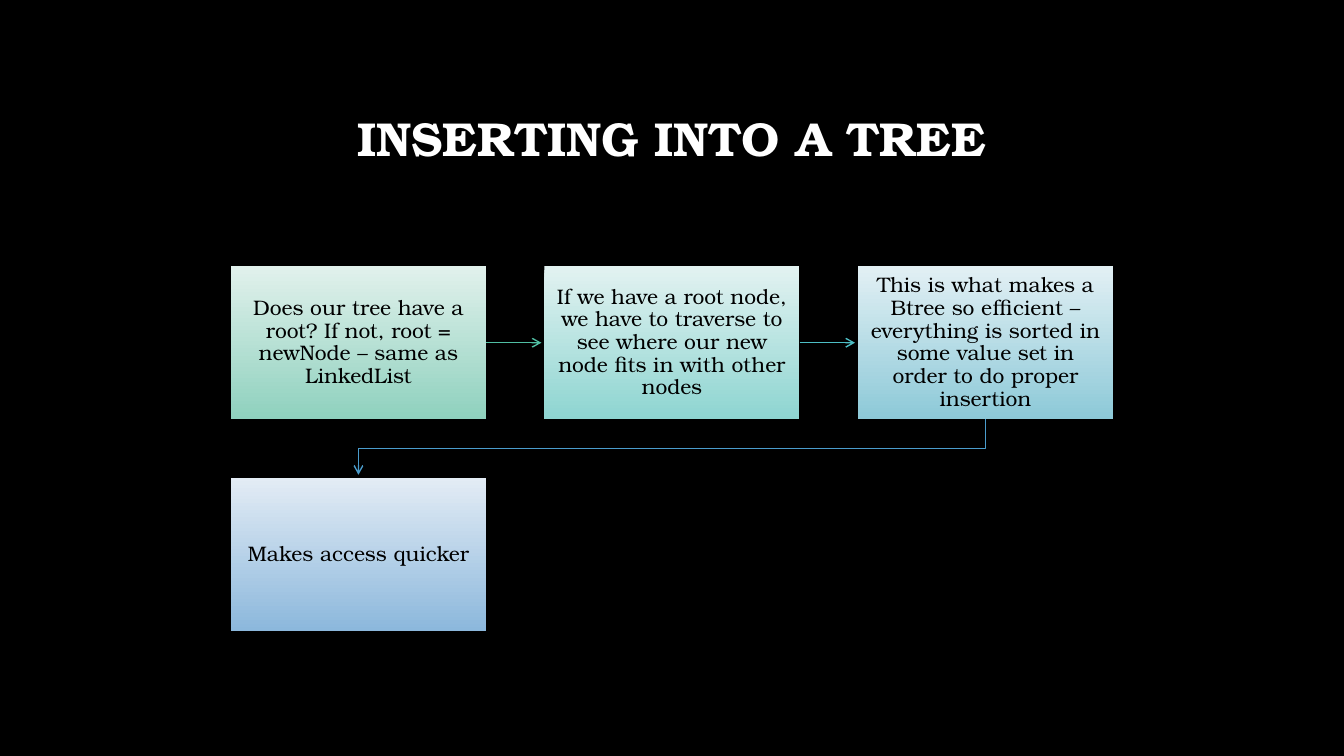
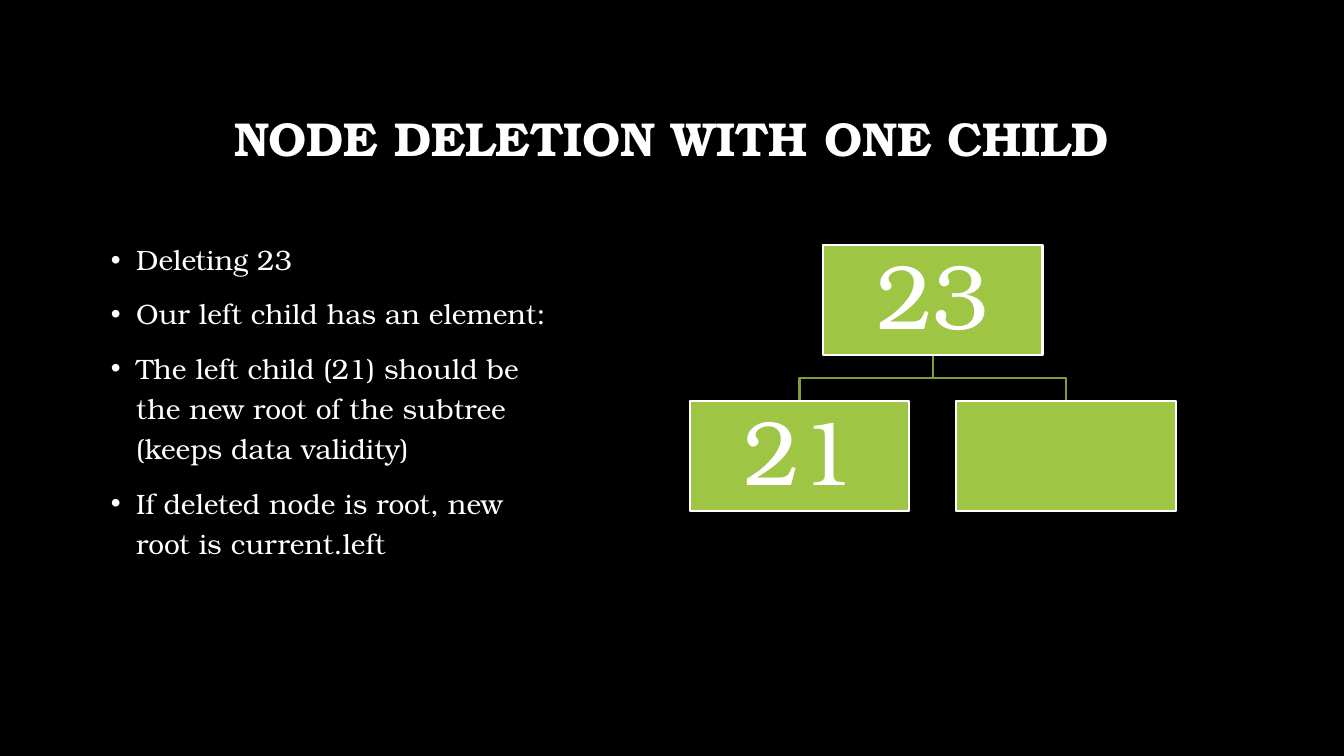
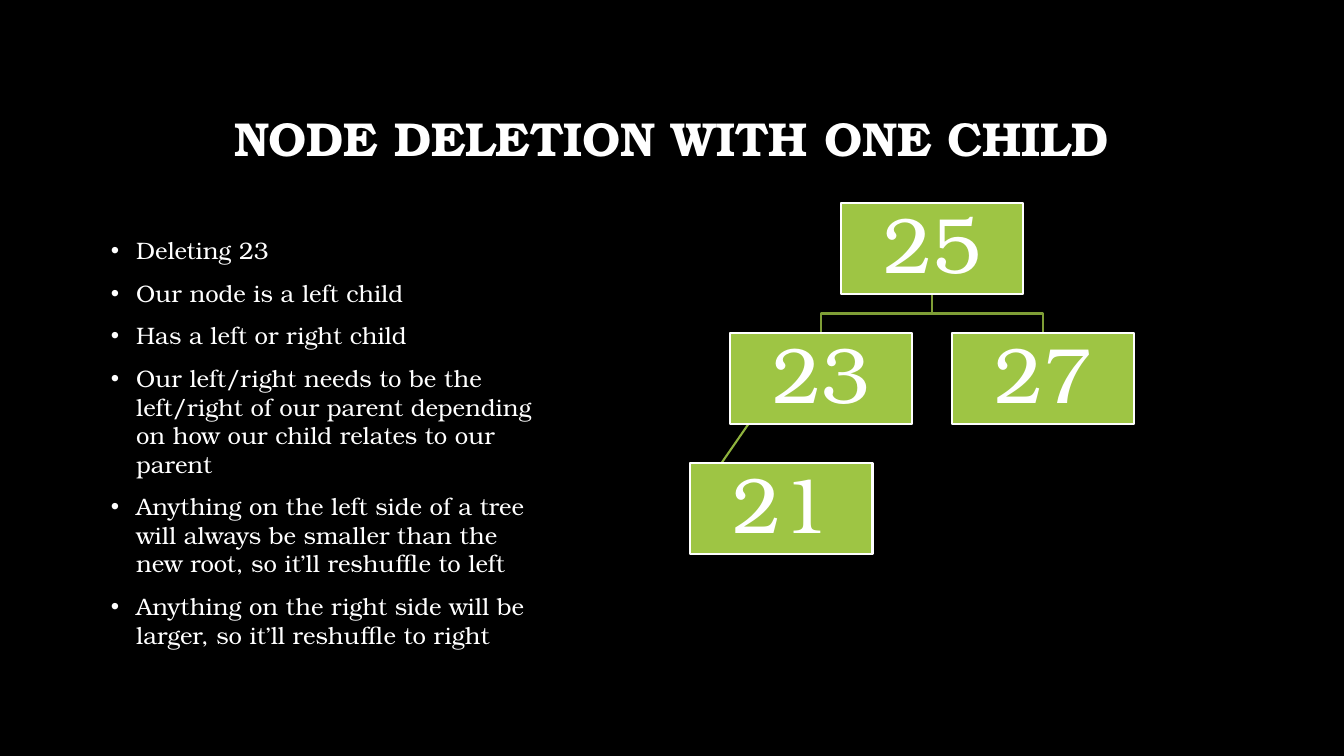
from dataclasses import dataclass
from typing import NamedTuple, Optional

from lxml import etree
from pptx import Presentation
from pptx import util as u
from pptx.dml.color import RGBColor
from pptx.enum import shapes, text
from pptx.oxml.ns import qn

FONT = "TeX Gyre Bonum"
COLOURS = {
    "background": "000000",
    "light_text": "FFFFFF",
    "dark_text": "000000",
    "node": "9EC544",
    "node_line": "FFFFFF",
    "branch": "7F9E36",
    "assistant_branch": "8FB33E",
}
TITLE_ONLY, TITLE_AND_BODY = 5, 1


class Box(NamedTuple):
    left: float
    top: float
    width: float
    height: float

    @property
    def centre(self) -> float:
        return self.left + self.width / 2

    @property
    def middle(self) -> float:
        return self.top + self.height / 2

    @property
    def right(self) -> float:
        return self.left + self.width

    @property
    def bottom(self) -> float:
        return self.top + self.height


@dataclass(frozen=True)
class Grid:
    left: float
    top: float
    width: float
    height: float
    column_step: float
    row_step: float

    def cell(self, column: float, row: float) -> Box:
        return Box(self.left + column * self.column_step,
                   self.top + row * self.row_step, self.width, self.height)


@dataclass(frozen=True)
class Step:
    column: int
    row: int
    words: str
    gradient: tuple[str, str]
    arrow: Optional[str] = None


@dataclass(frozen=True)
class Node:
    words: str
    column: float
    row: int
    parent: Optional[int] = None
    straight: bool = False


TITLE_BOX = Box(1, 0.67, 11.32, 1.45)
BODY_BOX = Box(1, 2.29, 4.57, 4.04)
STEP_GRID = Grid(2.29, 2.64, 2.53, 1.52, 3.11, 2.1)
ARROW_GAP = 0.03

STEPS = [
    Step(0, 0, "Does our tree have a root? If not, root = newNode – same as LinkedList",
         ("E1F1EC", "8FD1BE"), "50BEA3"),
    Step(1, 0, "If we have a root node, we have to traverse to see where our new node "
         "fits in with other nodes", ("E2F2F1", "8ED5D1"), "4DBEC5"),
    Step(2, 0, "This is what makes a Btree so efficient – everything is sorted in some "
         "value set in order to do proper insertion", ("E2F0F4", "8DC9D8"), "4A9CCC"),
    Step(0, 1, "Makes access quicker", ("E3ECF5", "8CB8DC")),
]
SMALL_TREE = [Node("23", 0.5, 0), Node("21", 0, 1, 0), Node("", 1, 1, 0)]
LARGE_TREE = [
    Node("25", 0.5, 0),
    Node("23", 0, 1, 0),
    Node("27", 1, 1, 0),
    Node("21", -0.18, 2, 1, straight=True),
]
SMALL_TREE_POINTS = [
    "Deleting 23",
    "Our left child has an element:",
    "The left child (21) should be the new root of the subtree (keeps data validity)",
    "If deleted node is root, new root is current.left",
]
LARGE_TREE_POINTS = [
    "Deleting 23",
    "Our node is a left child",
    "Has a left or right child",
    "Our left/right needs to be the left/right of our parent depending on how our "
    "child relates to our parent",
    "Anything on the left side of a tree will always be smaller than the new root, "
    "so it’ll reshuffle to left",
    "Anything on the right side will be larger, so it’ll reshuffle to right",
]


def rgb(value: str) -> RGBColor:
    return RGBColor.from_string(value)


def place(shape, box: Box) -> None:
    shape.left, shape.top, shape.width, shape.height = map(u.Inches, box)


def write_text(frame, words: str, *, size: float, colour: str = "light_text",
               bold: bool = False, align=text.PP_ALIGN.CENTER,
               anchor=text.MSO_ANCHOR.MIDDLE, spacing: float = 0.9,
               before: float = 0, indent: Optional[float] = None,
               insets: tuple[float, float] = (0.1, 0.05)) -> None:
    frame.text = words
    frame.word_wrap = True
    frame.auto_size = text.MSO_AUTO_SIZE.NONE
    frame.vertical_anchor = anchor
    frame.margin_left = frame.margin_right = u.Inches(insets[0])
    frame.margin_top = frame.margin_bottom = u.Inches(insets[1])
    for paragraph in frame.paragraphs:
        paragraph.alignment = align
        paragraph.line_spacing = spacing
        paragraph.space_before = u.Pt(before)
        if indent is not None:
            properties = paragraph._p.get_or_add_pPr()
            properties.set("marL", str(u.Inches(indent)))
            properties.set("indent", str(-u.Inches(indent)))
        for run in paragraph.runs:
            run.font.name = FONT
            run.font.size = u.Pt(size)
            run.font.bold = bold
            run.font.color.rgb = rgb(COLOURS[colour])


def add_titled_slide(presentation, layout: int, title: str):
    slide = presentation.slides.add_slide(presentation.slide_layouts[layout])
    place(slide.shapes.title, TITLE_BOX)
    write_text(slide.shapes.title.text_frame, title, size=34, bold=True)
    return slide


def add_rectangle(slide, box: Box):
    shape = slide.shapes.add_shape(shapes.MSO_SHAPE.RECTANGLE, *map(u.Inches, box))
    shape.shadow.inherit = False
    return shape


def add_line(slide, points: list[tuple[float, float]], colour: str, width: float,
             arrow: bool = False) -> None:
    corners = [(u.Inches(x), u.Inches(y)) for x, y in points]
    if len(corners) == 2:
        line = slide.shapes.add_connector(
            shapes.MSO_CONNECTOR.STRAIGHT, *corners[0], *corners[1])
    else:
        builder = slide.shapes.build_freeform(*corners[0])
        builder.add_line_segments(corners[1:], close=False)
        line = builder.convert_to_shape()
        line.fill.background()
    line.line.color.rgb = rgb(colour)
    line.line.width = u.Pt(width)
    etree.SubElement(line._element.spPr, qn("a:effectLst"))
    if arrow:
        outline = line._element.spPr.find(qn("a:ln"))
        etree.SubElement(outline, qn("a:tailEnd"), type="arrow")


def elbow(start: Box, end: Box, gap: float = 0) -> list[tuple[float, float]]:
    turn = (start.bottom + end.top) / 2
    return [(start.centre, start.bottom), (start.centre, turn),
            (end.centre, turn), (end.centre, end.top - gap)]


def draw_steps(slide, steps: list[Step]) -> None:
    boxes = [STEP_GRID.cell(step.column, step.row) for step in steps]
    for step, box, following in zip(steps, boxes, boxes[1:]):
        if box.top == following.top:
            points = [(box.right, box.middle), (following.left - ARROW_GAP, box.middle)]
        else:
            points = elbow(box, following, ARROW_GAP)
        add_line(slide, points, step.arrow, 1, arrow=True)
    for step, box in zip(steps, boxes):
        shape = add_rectangle(slide, box)
        shape.line.fill.background()
        shape.fill.gradient()
        shape.fill.gradient_angle = 270
        for stop, colour in zip(shape.fill.gradient_stops, step.gradient):
            stop.color.rgb = rgb(colour)
        for stop, position in zip(shape.fill.gradient_stops, (0, 1)):
            stop.position = position
        write_text(shape.text_frame, step.words, size=15, colour="dark_text",
                   insets=(0.12, 0.13))


def draw_tree(slide, nodes: list[Node], grid: Grid, size: float) -> None:
    boxes = [grid.cell(node.column, node.row) for node in nodes]
    for node, box in zip(nodes, boxes):
        if node.parent is None:
            continue
        parent = boxes[node.parent]
        if node.straight:
            points = [(parent.left + parent.width / 10, parent.bottom),
                      (box.left, box.middle)]
            add_line(slide, points, COLOURS["assistant_branch"], 1.5)
        else:
            add_line(slide, elbow(parent, box), COLOURS["branch"], 1.5)
    for node, box in zip(nodes, boxes):
        shape = add_rectangle(slide, box)
        shape.fill.solid()
        shape.fill.fore_color.rgb = rgb(COLOURS["node"])
        shape.line.color.rgb = rgb(COLOURS["node_line"])
        shape.line.width = u.Pt(1.5)
        if node.words:
            write_text(shape.text_frame, node.words, size=size, insets=(0.05, 0.05))


def add_deletion_slide(presentation, points: list[str], size: float, spacing: float,
                       nodes: list[Node], grid: Grid, node_size: float) -> None:
    slide = add_titled_slide(presentation, TITLE_AND_BODY, "NODE DELETION WITH ONE CHILD")
    body = slide.placeholders[1]
    place(body, BODY_BOX)
    write_text(body.text_frame, "\n".join(points), size=size, spacing=spacing,
               before=10, indent=0.25, align=text.PP_ALIGN.LEFT,
               anchor=text.MSO_ANCHOR.TOP)
    draw_tree(slide, nodes, grid, node_size)


def main() -> None:
    presentation = Presentation()
    presentation.slide_width = u.Inches(13.33)
    presentation.slide_height = u.Inches(7.5)
    background = presentation.slide_master.background.fill
    background.solid()
    background.fore_color.rgb = rgb(COLOURS["background"])

    draw_steps(add_titled_slide(presentation, TITLE_ONLY, "INSERTING INTO A TREE"), STEPS)
    add_deletion_slide(presentation, SMALL_TREE_POINTS, 20, 1.2, SMALL_TREE,
                       Grid(6.84, 2.43, 2.18, 1.09, 2.64, 1.55), 65)
    add_deletion_slide(presentation, LARGE_TREE_POINTS, 17, 1, LARGE_TREE,
                       Grid(7.24, 2.01, 1.81, 0.91, 2.2, 1.29), 56)
    presentation.save("out.pptx")


if __name__ == "__main__":
    main()
